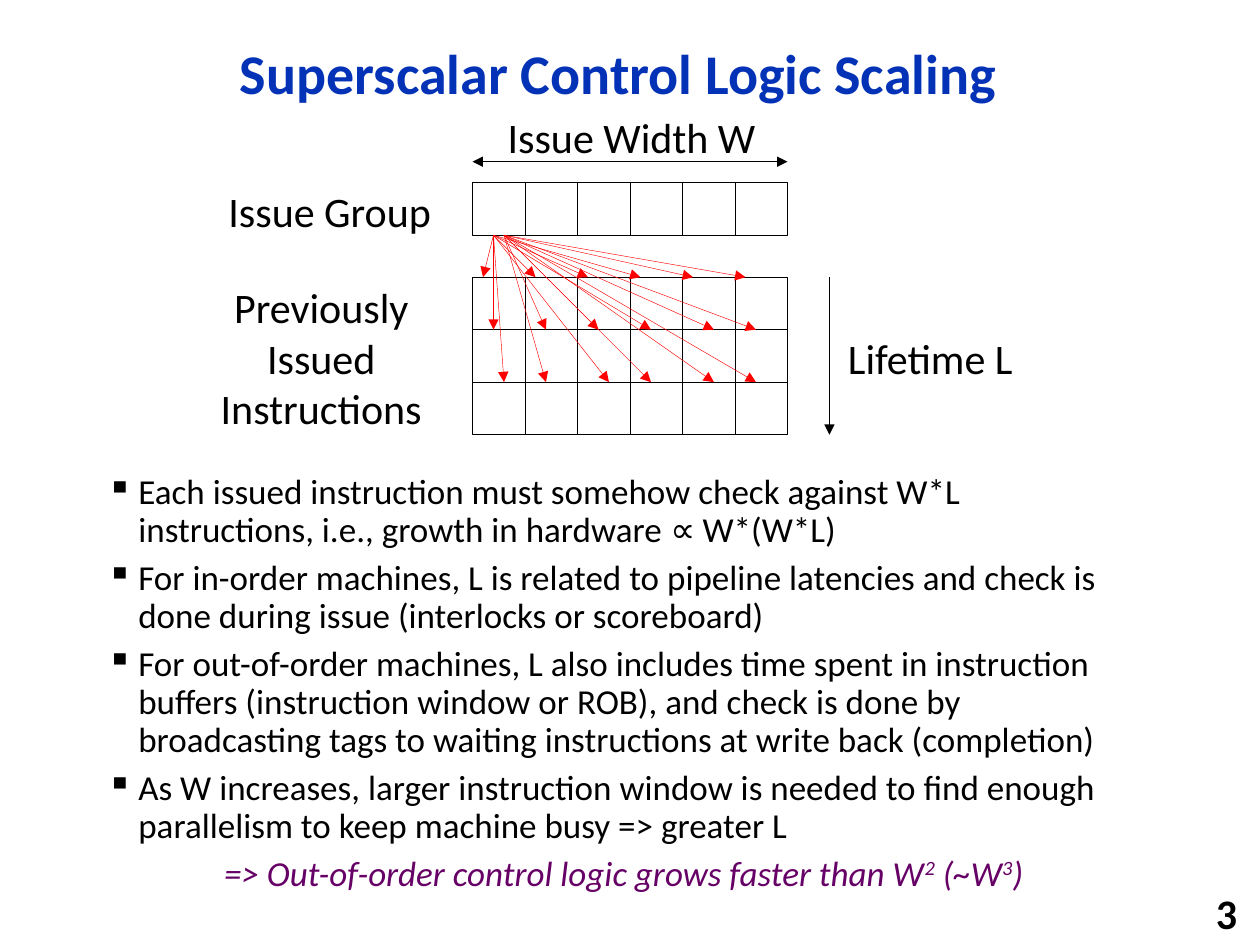
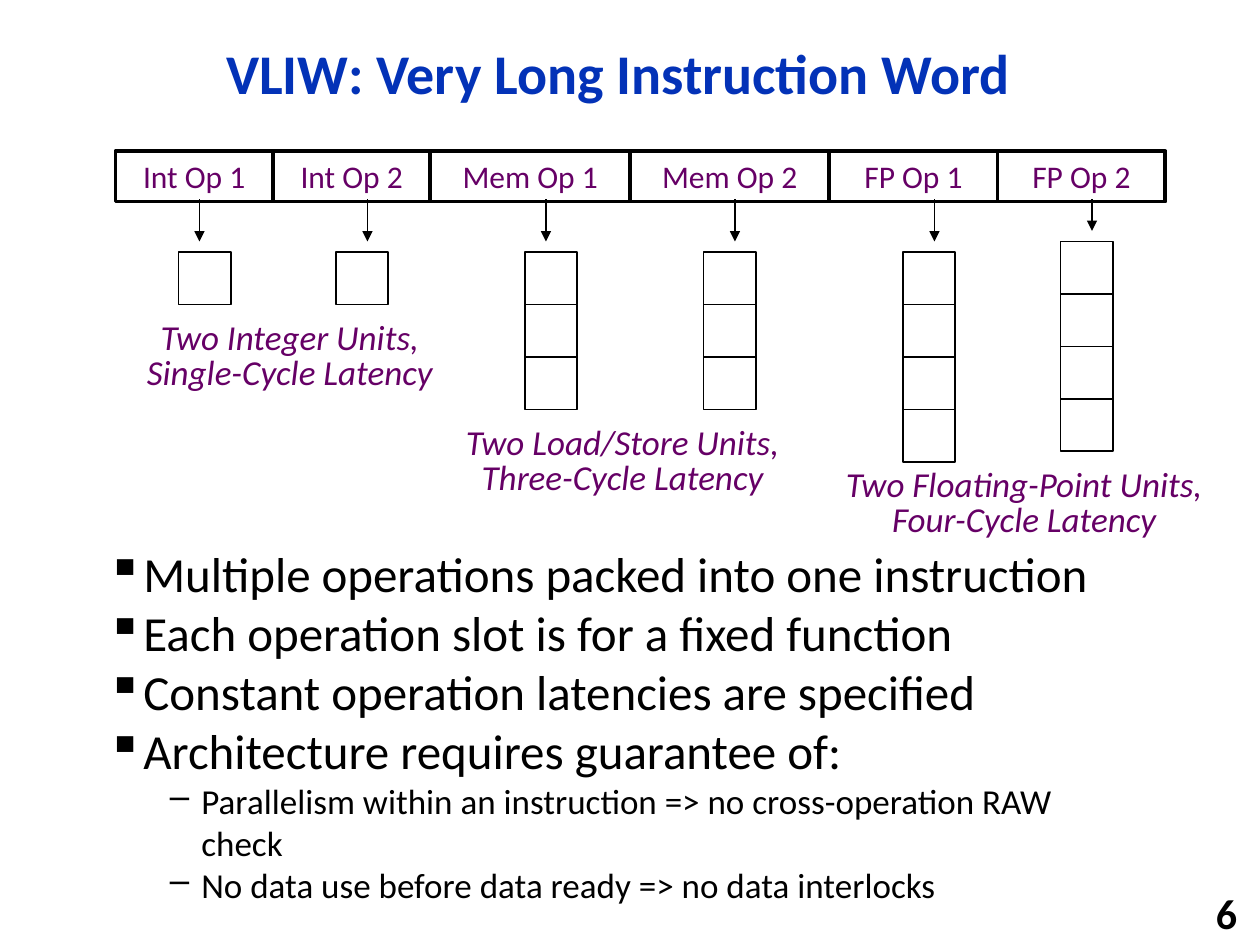
from lxml import etree
from pptx import Presentation
from pptx.dml.color import RGBColor
from pptx.enum.shapes import MSO_CONNECTOR, MSO_SHAPE
from pptx.enum.text import MSO_ANCHOR, PP_ALIGN
from pptx.oxml.ns import qn
from pptx.util import Inches, Pt

RECTANGLE = MSO_SHAPE.RECTANGLE
STRAIGHT = MSO_CONNECTOR.STRAIGHT
MIDDLE = MSO_ANCHOR.MIDDLE
LEFT, CENTER, RIGHT = PP_ALIGN.LEFT, PP_ALIGN.CENTER, PP_ALIGN.RIGHT

COLORS = {"title": "0332B7", "ink": "000000", "accent": "660066", "check": "FF0000"}
FONT = "Calibri"
COLUMNS, ROWS = 120, 90
CELL = 5
HAIRLINE = 0.25


class Deck:
    def __init__(self):
        self.presentation = Presentation()
        self.presentation.slide_width = Inches(10)
        self.presentation.slide_height = Inches(7.5)
        self.slide = None

    def x(self, columns):
        return round(self.presentation.slide_width * columns / COLUMNS)

    def y(self, rows):
        return round(self.presentation.slide_height * rows / ROWS)

    def area(self, left, top, width, height):
        return self.x(left), self.y(top), self.x(width), self.y(height)

    def color(self, name):
        return RGBColor.from_string(COLORS[name])

    def new_slide(self, title, number):
        self.slide = self.presentation.slides.add_slide(self.presentation.slide_layouts[6])
        self.label(title, (11, 2, 95.8, 9.7), size=32, color="title", bold=True)
        self.label(number, (94, 85, 25, 3.8), wrap=True, align=RIGHT, bold=True)

    def frame(self, area, wrap):
        frame = self.slide.shapes.add_textbox(*self.area(*area)).text_frame
        frame.word_wrap = wrap
        frame.vertical_anchor = MIDDLE
        return frame

    def add_text(self, frame, text, size=24, color="ink", align=CENTER, bold=False,
                 italic=False, spacing=None, before=0, bullet=None, indent=0, hanging=0):
        first = frame.paragraphs[0]
        paragraph = frame.add_paragraph() if first.runs else first
        properties = paragraph._p.get_or_add_pPr()
        if hanging:
            properties.set("marL", str(Inches(indent)))
            properties.set("indent", str(-Inches(hanging)))
        paragraph.alignment = align
        if spacing:
            paragraph.line_spacing = spacing
        if before and paragraph is not first:
            paragraph.space_before = Pt(before)
        if bullet:
            etree.SubElement(properties, qn("a:buChar")).set("char", bullet)
        for index, part in enumerate(text.split("^")):
            run = paragraph.add_run()
            run.text = part
            if index % 2:
                run._r.get_or_add_rPr().set("baseline", "30000")
        font = paragraph.font
        font.name, font.size = FONT, Pt(size)
        font.bold, font.italic = bold, italic
        font.color.rgb = self.color(color)

    def label(self, text, area, wrap=False, **style):
        self.add_text(self.frame(area, wrap), text, **style)

    def caption(self, lines, area):
        frame = self.frame(area, False)
        for line in lines:
            self.add_text(frame, line, size=20, color="accent", italic=True,
                          spacing=0.7, before=3.5)

    def bullets(self, frame, lines, bullet="▪", indent=0.25, **style):
        for line in lines:
            self.add_text(frame, line, align=LEFT, bullet=bullet, indent=indent,
                          hanging=0.25, **style)

    def box(self, left, top, width=CELL, height=CELL, weight=1.0, text=None):
        shape = self.slide.shapes.add_shape(RECTANGLE, *self.area(left, top, width, height))
        shape.shadow.inherit = False
        shape.fill.background()
        shape.line.color.rgb = self.color("ink")
        shape.line.width = Pt(weight)
        if text:
            shape.text_frame.vertical_anchor = MIDDLE
            self.add_text(shape.text_frame, text, size=18, color="accent")

    def cells(self, left, top, columns, rows, weight):
        for column in range(columns):
            for row in range(rows):
                self.box(left + column * CELL, top + row * CELL, weight=weight)

    def arrow(self, start, end, color="ink", weight=HAIRLINE, ends=("tailEnd",)):
        connector = self.slide.shapes.add_connector(
            STRAIGHT, self.x(start[0]), self.y(start[1]), self.x(end[0]), self.y(end[1]))
        connector.line.color.rgb = self.color(color)
        connector.line.width = Pt(weight)
        properties = connector._element.spPr
        line = properties.find(qn("a:ln"))
        for end_name in ends:
            etree.SubElement(line, qn("a:" + end_name)).set("type", "triangle")
        etree.SubElement(properties, qn("a:effectLst"))


def build_scaling_slide(deck):
    deck.new_slide("Superscalar Control Logic Scaling", "3")
    frame = deck.frame((9, 43.9, 100.8, 42.5), True)
    deck.bullets(frame, [
        "Each issued instruction must somehow check against W*L instructions, "
        "i.e., growth in hardware ∝ W*(W*L)",
        "For in-order machines, L is related to pipeline latencies and check is "
        "done during issue (interlocks or scoreboard)",
        "For out-of-order machines, L also includes time spent in instruction "
        "buffers (instruction window or ROB), and check is done by broadcasting "
        "tags to waiting instructions at write back (completion)",
        "As W increases, larger instruction window is needed to find enough "
        "parallelism to keep machine busy => greater L",
    ], size=20, spacing=0.9, before=6)
    deck.add_text(frame, "=> Out-of-order control logic grows faster than W^2^ (~W^3^)",
                  size=20, color="accent", italic=True, spacing=0.9, before=6,
                  indent=0.25, hanging=0.25)

    left, width, issue_top, issued_top, lifetime = 45, 6, 17.4, 26.4, 3
    deck.cells(left, issue_top, width, 1, HAIRLINE)
    deck.cells(left, issued_top, width, lifetime, HAIRLINE)
    deck.arrow((left, 15.4), (left + width * CELL, 15.4), ends=("headEnd", "tailEnd"))
    deck.arrow((79, issued_top), (79, issued_top + lifetime * CELL))
    deck.label("Issue Width W", (47, 10, 26.3, 6.1))
    deck.label("Issue Group", (20.4, 17, 22, 6.1))
    deck.label("Previously Issued Instructions", (18, 26.2, 25.2, 15.7), wrap=True)
    deck.label("Lifetime L", (79.4, 31, 18.4, 6.1))

    issue_bottom = issue_top + CELL
    checks = [
        {47: (46, 51, 56, 61), 48: (66, 71)},
        {47: (47, 62), 48: (52, 57, 68, 72)},
        {47: (48, 58), 48: (52, 62, 68, 72)},
    ]
    for row, sources in enumerate(checks):
        for source, targets in sources.items():
            for target in targets:
                deck.arrow((source, issue_bottom), (target, issued_top + row * CELL), "check")


def build_vliw_slide(deck):
    deck.new_slide("VLIW: Very Long Instruction Word", "6")
    frame = deck.frame((9, 51, 100.8, 36), True)
    deck.bullets(frame, [
        "Multiple operations packed into one instruction",
        "Each operation slot is for a fixed function",
        "Constant operation latencies are specified",
        "Architecture requires guarantee of:",
    ], size=28)
    deck.bullets(frame, [
        "Parallelism within an instruction => no cross-operation RAW check",
        "No data use before data ready => no data interlocks",
    ], bullet="–", indent=0.75, size=20)

    slots = [
        ("Int Op 1", 15, 17, 1, 19, 24),
        ("Int Op 2", 15, 32, 1, 35, 24),
        ("Mem Op 1", 19, 50, 3, 52, 24),
        ("Mem Op 2", 19, 67, 3, 70, 24),
        ("FP Op 1", 16, 86, 4, 89, 24),
        ("FP Op 2", 16, 101, 4, 104, 23),
    ]
    slot_left = 11
    for name, width, unit_left, latency, arrow_x, unit_top in slots:
        deck.cells(unit_left, unit_top, 1, latency, 1)
        deck.arrow((arrow_x, 19), (arrow_x, unit_top - 1), weight=1)
        deck.box(slot_left, 14.4, width, 4.8, 2.25, name)
        slot_left += width

    deck.caption(("Two Integer Units,", "Single-Cycle Latency"), (12.4, 30.2, 30.4, 8))
    deck.caption(("Two Load/Store Units,", "Three-Cycle Latency"), (42.6, 40.2, 33.4, 8))
    deck.caption(("Two Floating-Point Units,", "Four-Cycle Latency"), (78.7, 44.2, 37.7, 8))


def main():
    deck = Deck()
    build_scaling_slide(deck)
    build_vliw_slide(deck)
    deck.presentation.save("out.pptx")


if __name__ == "__main__":
    main()
